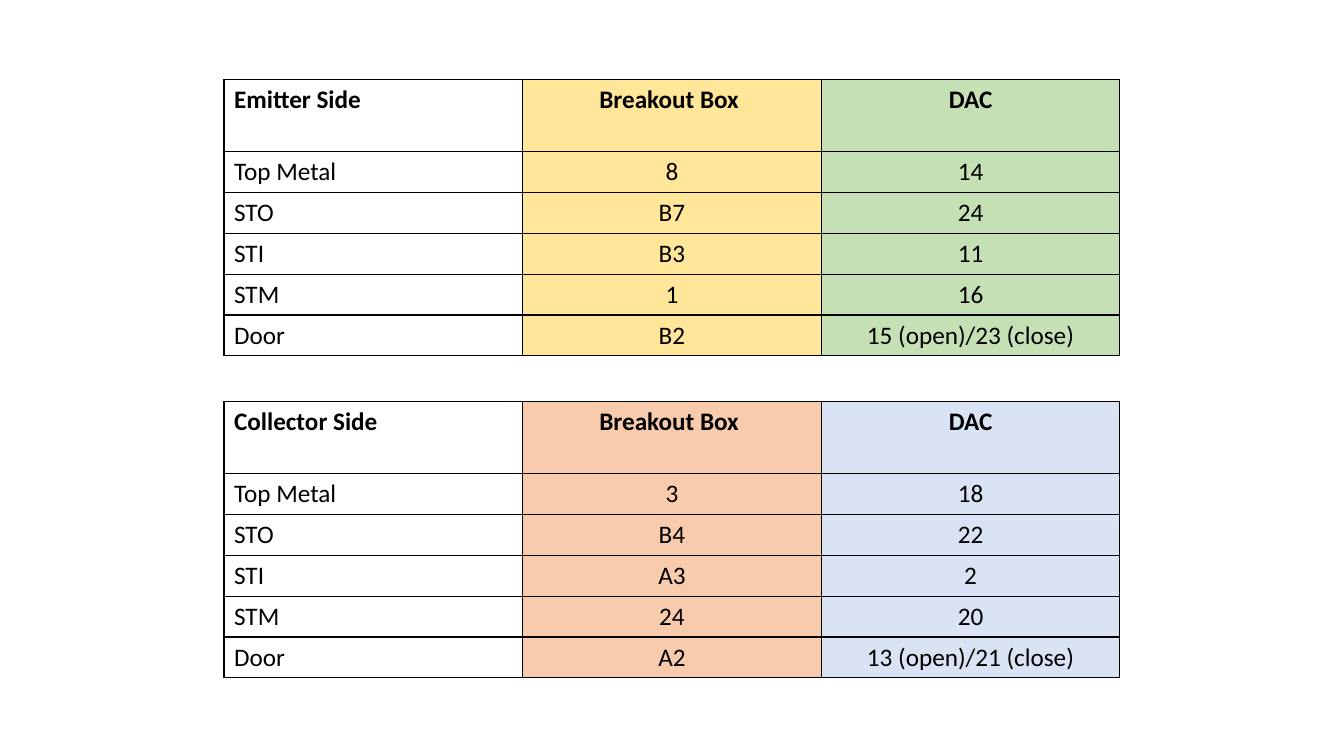
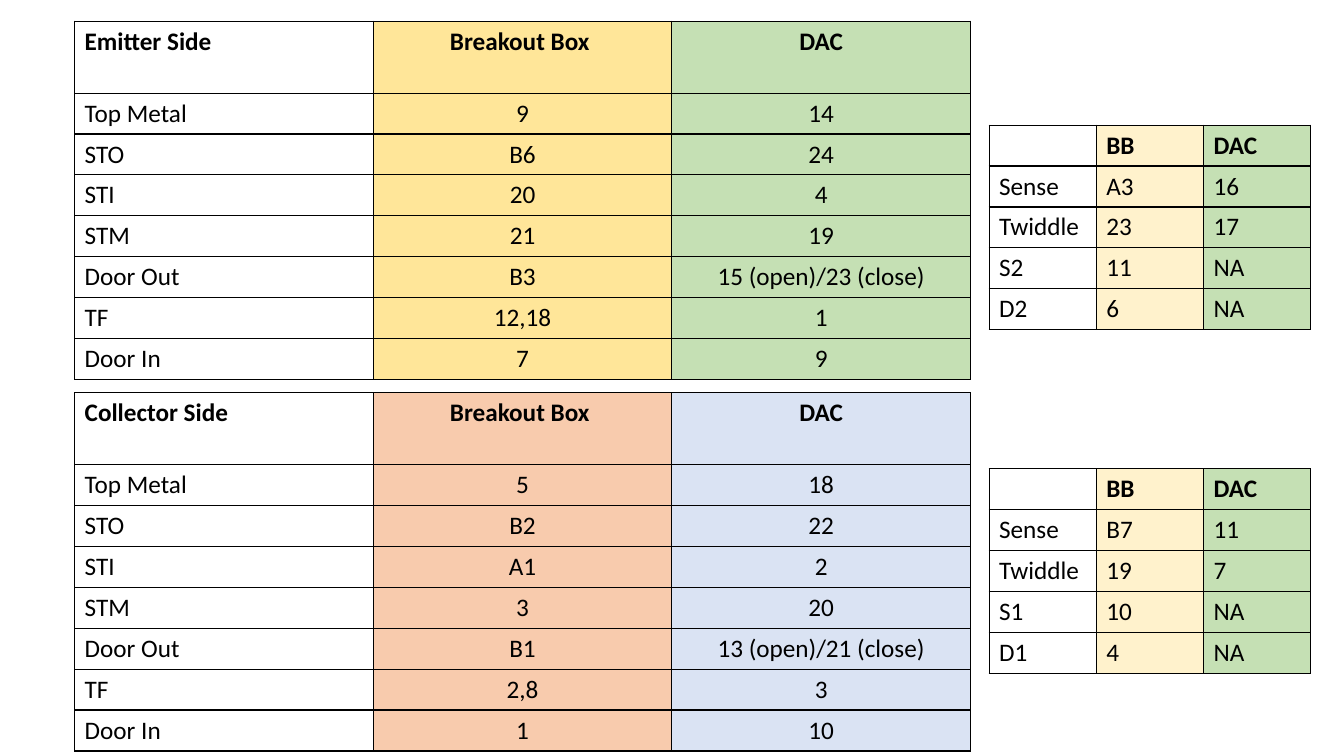
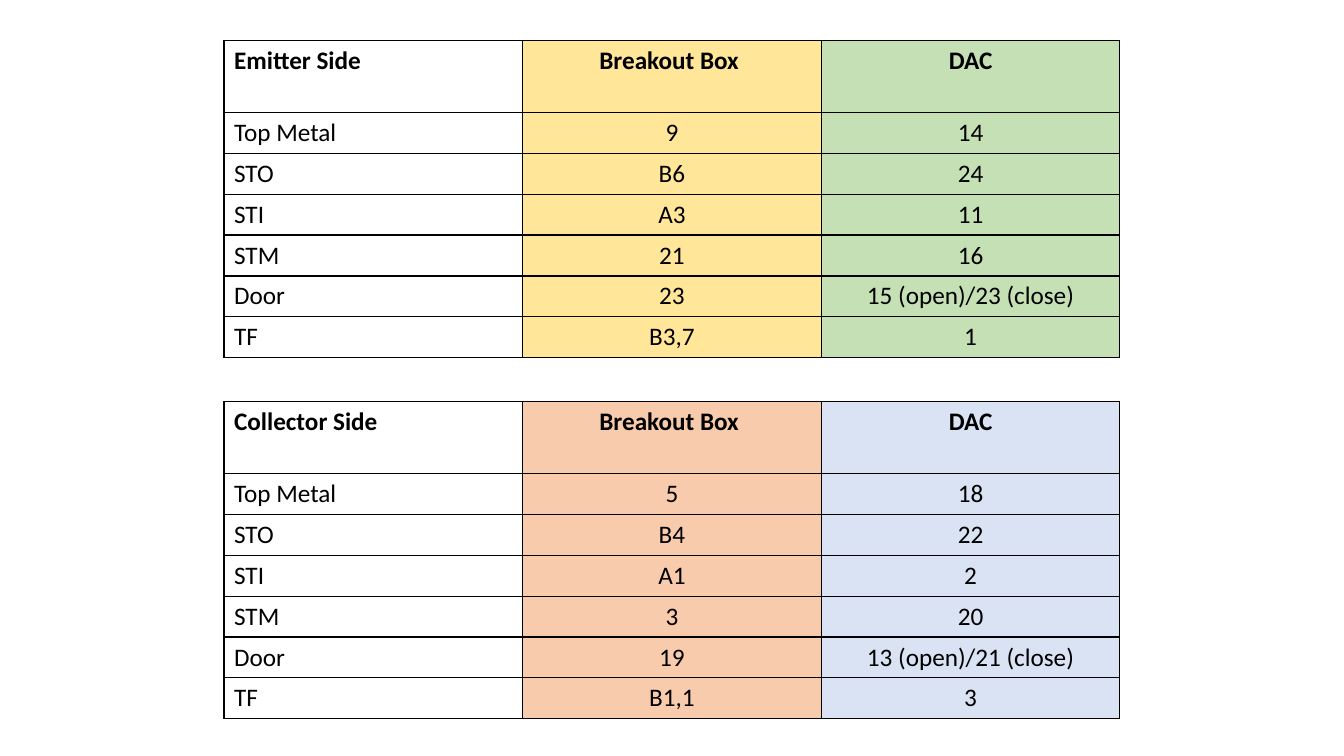
from lxml import etree
from pptx import Presentation
from pptx.dml.color import RGBColor
from pptx.enum.text import PP_ALIGN
from pptx.oxml.ns import qn
from pptx.util import Pt

LEFT, CENTER = PP_ALIGN.LEFT, PP_ALIGN.CENTER
BLACK = RGBColor(0x00, 0x00, 0x00)
YELLOW = RGBColor(0xFF, 0xE6, 0x99)
CREAM = RGBColor(0xFF, 0xF2, 0xCC)
GREEN = RGBColor(0xC5, 0xE0, 0xB4)
ORANGE = RGBColor(0xF8, 0xCB, 0xAD)
BLUE = RGBColor(0xDA, 0xE3, 0xF3)

FONT, SIZE, BORDER = "Calibri", 18, 1
SLIDE_W, SLIDE_H = 960, 540
ROW_H, SIDE_HEAD_H = 29.2, 51.4
SIDE_COL, SMALL_COL = 213.33, 76.6
MIDDLE_X = (SLIDE_W - 3 * SIDE_COL) / 2
WIDE_X, SMALL_X = 53.3, 706.5

SIDE = {"col_w": SIDE_COL, "head_h": SIDE_HEAD_H, "align": CENTER}
EMITTER = {**SIDE, "head": ("Emitter Side", "Breakout Box ", "DAC"),
           "fills": (None, YELLOW, GREEN)}
COLLECTOR = {**SIDE, "head": ("Collector Side", "Breakout Box ", "DAC"),
             "fills": (None, ORANGE, BLUE)}
SMALL = {"col_w": SMALL_COL, "head_h": ROW_H, "align": LEFT,
         "head": ("", "BB", "DAC"), "fills": (None, CREAM, GREEN)}

OPEN_CLOSE_E, OPEN_CLOSE_C = "15 (open)/23 (close)", "13 (open)/21 (close)"

SLIDES = [
    [
        (EMITTER, MIDDLE_X, 56.8, [
            ("Top Metal", "8", "14"),
            ("STO", "B7", "24"),
            ("STI", "B3", "11"),
            ("STM", "1", "16"),
            ("Door", "B2", OPEN_CLOSE_E),
        ]),
        (COLLECTOR, MIDDLE_X, 286.8, [
            ("Top Metal", "3", "18"),
            ("STO", "B4", "22"),
            ("STI", "A3", "2"),
            ("STM", "24", "20"),
            ("Door", "A2", OPEN_CLOSE_C),
        ]),
    ],
    [
        (EMITTER, WIDE_X, 15.1, [
            ("Top Metal", "9", "14"),
            ("STO", "B6", "24"),
            ("STI", "20", "4"),
            ("STM", "21", "19"),
            ("Door Out", "B3", OPEN_CLOSE_E),
            ("TF", "12,18", "1"),
            ("Door In", "7", "9"),
        ]),
        (COLLECTOR, WIDE_X, 280.6, [
            ("Top Metal", "5", "18"),
            ("STO", "B2", "22"),
            ("STI", "A1", "2"),
            ("STM", "3", "20"),
            ("Door Out", "B1", OPEN_CLOSE_C),
            ("TF", "2,8", "3"),
            ("Door In", "1", "10"),
        ]),
        (SMALL, SMALL_X, 89.4, [
            ("Sense", "A3", "16"),
            ("Twiddle", "23", "17"),
            ("S2", "11", "NA"),
            ("D2", "6", "NA"),
        ]),
        (SMALL, SMALL_X, 334.8, [
            ("Sense", "B7", "11"),
            ("Twiddle", "19", "7"),
            ("S1", "10", "NA"),
            ("D1", "4", "NA"),
        ]),
    ],
    [
        (EMITTER, MIDDLE_X, 28.9, [
            ("Top Metal", "9", "14"),
            ("STO", "B6", "24"),
            ("STI", "A3", "11"),
            ("STM", "21", "16"),
            ("Door", "23", OPEN_CLOSE_E),
            ("TF", "B3,7", "1"),
        ]),
        (COLLECTOR, MIDDLE_X, 286.8, [
            ("Top Metal", "5", "18"),
            ("STO", "B4", "22"),
            ("STI", "A1", "2"),
            ("STM", "3", "20"),
            ("Door", "19", OPEN_CLOSE_C),
            ("TF", "B1,1", "3"),
        ]),
    ],
]


def add_borders(cell):
    tc_pr = cell._tc.get_or_add_tcPr()
    for i, side in enumerate(("a:lnL", "a:lnR", "a:lnT", "a:lnB")):
        ln = etree.Element(qn(side), w=str(Pt(BORDER)))
        fill = etree.SubElement(ln, qn("a:solidFill"))
        etree.SubElement(fill, qn("a:srgbClr"), val=str(BLACK))
        tc_pr.insert(i, ln)


def fill_cell(cell, text, fill, align, bold):
    if fill is None:
        cell.fill.background()
    else:
        cell.fill.solid()
        cell.fill.fore_color.rgb = fill
    add_borders(cell)
    if not text:
        return
    p = cell.text_frame.paragraphs[0]
    p.alignment = align
    r = p.add_run()
    r.text = text
    r.font.name = FONT
    r.font.size = Pt(SIZE)
    r.font.bold = bold
    r.font.color.rgb = BLACK


def add_wiring_table(slide, style, x, y, body):
    rows = [style["head"], *body]
    cols = len(style["head"])
    height = style["head_h"] + ROW_H * len(body)
    table = slide.shapes.add_table(len(rows), cols, Pt(x), Pt(y),
                                   Pt(style["col_w"] * cols), Pt(height)).table
    table.first_row = False
    table.horz_banding = False
    for column in table.columns:
        column.width = Pt(style["col_w"])
    for i, row in enumerate(rows):
        table.rows[i].height = Pt(ROW_H if i else style["head_h"])
        for j, text in enumerate(row):
            fill_cell(table.cell(i, j), text, style["fills"][j],
                      style["align"] if j else LEFT, i == 0)


def main():
    prs = Presentation()
    prs.slide_width, prs.slide_height = Pt(SLIDE_W), Pt(SLIDE_H)
    blank = prs.slide_layouts[6]
    for tables in SLIDES:
        slide = prs.slides.add_slide(blank)
        for style, x, y, body in tables:
            add_wiring_table(slide, style, x, y, body)
    prs.save("out.pptx")


if __name__ == "__main__":
    main()
